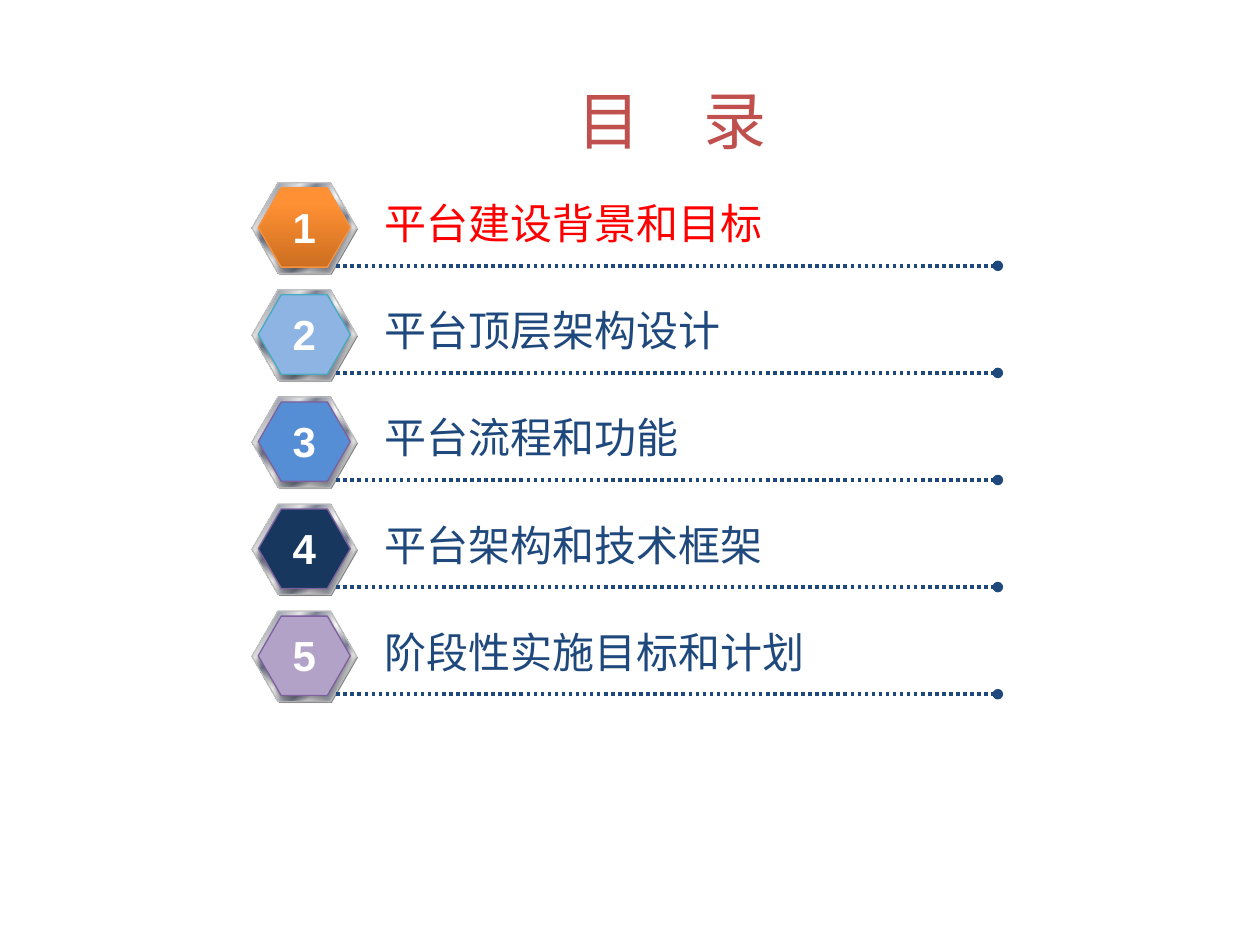
from lxml import etree
from pptx import Presentation
from pptx.dml.color import RGBColor
from pptx.enum.dml import MSO_LINE
from pptx.enum.shapes import MSO_CONNECTOR, MSO_SHAPE
from pptx.enum.text import MSO_ANCHOR, MSO_AUTO_SIZE, PP_ALIGN
from pptx.oxml.ns import qn
from pptx.util import Pt

HEX = MSO_SHAPE.HEXAGON
STRAIGHT = MSO_CONNECTOR.STRAIGHT
DOTS = MSO_LINE.ROUND_DOT
TOP = MSO_ANCHOR.TOP
FIXED = MSO_AUTO_SIZE.NONE
CENTER = PP_ALIGN.CENTER
LEFT = PP_ALIGN.LEFT

NAVY = "1F497D"
START, PITCH, LEAD = 104.4, 61.2, 28
METAL = [(0, "E6E6E6"), (8, "7D8496"), (26, "E6E6E6"), (34, "7D8496"),
         (46, "E6E6E6"), (50, "FFFFFF"), (54, "E6E6E6"), (66, "7D8496"),
         (74, "E6E6E6"), (92, "7D8496"), (100, "E6E6E6")]
ORANGE = [(0, "CC6E20"), (80, "FF9034"), (100, "FF9136")]
ITEMS = [
    ("平台建设背景和目标", "FF0000", ORANGE, "F69240"),
    ("平台顶层架构设计", NAVY, "8EB4E3", "46AAC5"),
    ("平台流程和功能", NAVY, "558ED5", "7D60A0"),
    ("平台架构和技术框架", NAVY, "17375E", "7D60A0"),
    ("阶段性实施目标和计划", NAVY, "B3A2C7", "7D60A0"),
]


def color(code):
    return RGBColor.from_string(code)


def apply(target, **values):
    for name, value in values.items():
        setattr(target, name, value)


def node(parent, tag, **values):
    return etree.SubElement(parent, qn(tag), {k: str(v) for k, v in values.items()})


def place(shape, x, y, w, h):
    apply(shape, left=Pt(x), top=Pt(y), width=Pt(w), height=Pt(h))


def write(para, text, size, font, code, align, bold=False):
    para.alignment = align
    run = para.add_run()
    run.text = text
    apply(run.font, size=Pt(size), name=font, bold=bold)
    run.font.color.rgb = color(code)


def blend(shape, stops, angle):
    shape.fill.gradient()
    grad = shape._element.spPr.find(qn("a:gradFill"))
    grad.clear()
    chain = node(grad, "a:gsLst")
    for spot, code in stops:
        stop = node(chain, "a:gs", pos=spot * 1000)
        node(stop, "a:srgbClr", val=code)
    node(grad, "a:lin", ang=angle * 60000, scaled=0)


def hexagon(group, x, y, w, h, fill, edge=None, angle=270):
    shape = group.shapes.add_shape(HEX, Pt(x), Pt(y), Pt(w), Pt(h))
    shape.adjustments[0] = 0.289
    shape.shadow.inherit = False
    if isinstance(fill, list):
        blend(shape, fill, angle)
    else:
        shape.fill.solid()
        shape.fill.fore_color.rgb = color(fill)
    if edge:
        shape.line.color.rgb = color(edge)
        shape.line.width = Pt(0.75)
    else:
        shape.line.fill.background()
    return shape


def shade(shape):
    effects = shape._element.spPr.find(qn("a:effectLst"))
    outer = node(effects, "a:outerShdw", blurRad=Pt(3.1), dist=Pt(1.8),
                 dir=5400000, rotWithShape=0)
    tint = node(outer, "a:srgbClr", val="000000")
    node(tint, "a:alpha", val=35000)


def leader(group, y):
    rule = group.shapes.add_connector(STRAIGHT, Pt(192.2), Pt(y), Pt(570.2), Pt(y))
    rule.line.color.rgb = color(NAVY)
    apply(rule.line, width=Pt(2), dash_style=DOTS)
    node(rule.line._get_or_add_ln(), "a:tailEnd", type="oval")
    node(rule._element.spPr, "a:effectLst")


def badge(slide, index, fill, edge):
    y = START + index * PITCH
    group = slide.shapes.add_group_shape()
    hexagon(group, 144.7, y + 0.7, 59.8, 51.8, "808080")
    hexagon(group, 144, y, 59.8, 51.8, METAL, "C0C0C0", 45)
    shade(hexagon(group, 147.6, y + 2.9, 52.6, 45.4, fill, edge))
    leader(group, y + 47.5)
    box = group.shapes.add_textbox(Pt(159.8), Pt(y + 7.2), Pt(28.1), Pt(36))
    box.text_frame.word_wrap = False
    write(box.text_frame.paragraphs[0], str(index + 1), 24, "Arial", "FFFFFF",
          CENTER, True)


def heading(slide):
    title = slide.shapes.title
    place(title, 288.7, 43.2, 190.1, 51.1)
    apply(title.text_frame, vertical_anchor=TOP, auto_size=FIXED, word_wrap=True)
    write(title.text_frame.paragraphs[0], "目　录", 36, "Lato", "C0504D", CENTER)


def agenda(slide):
    body = slide.placeholders[1]
    place(body, 212.4, START + 5.8, 351.4, 4 * PITCH + 36.7)
    frame = body.text_frame
    apply(frame, vertical_anchor=TOP, auto_size=FIXED, word_wrap=True)
    for index, (text, code, _, _) in enumerate(ITEMS):
        para = frame.add_paragraph() if index else frame.paragraphs[0]
        apply(para, line_spacing=Pt(LEAD), space_before=Pt(0),
              space_after=Pt(PITCH - LEAD))
        write(para, text, 24, "Arial", code, LEFT)
        props = para._p.get_or_add_pPr()
        props.set("marL", "0")
        props.set("indent", "0")
        node(props, "a:buNone")


def main():
    deck = Presentation()
    apply(deck, slide_width=Pt(720), slide_height=Pt(540))
    slide = deck.slides.add_slide(deck.slide_layouts[1])
    heading(slide)
    agenda(slide)
    for index, (_, _, fill, edge) in enumerate(ITEMS):
        badge(slide, index, fill, edge)
    deck.save("out.pptx")


if __name__ == "__main__":
    main()
